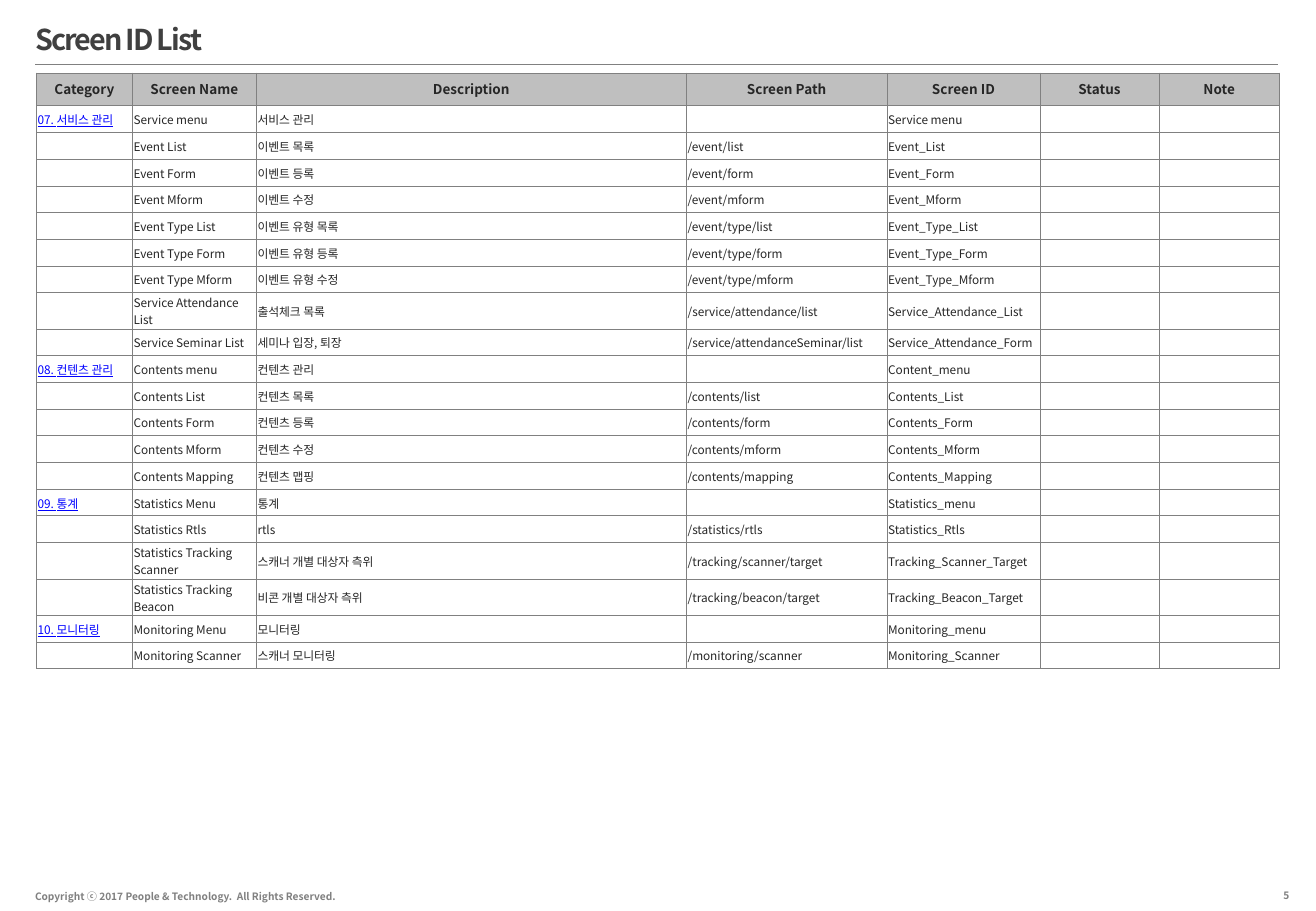
from pptx import Presentation
from pptx.dml.color import RGBColor
from pptx.enum.shapes import MSO_CONNECTOR
from pptx.enum.text import MSO_ANCHOR, MSO_AUTO_SIZE, PP_ALIGN
from pptx.oxml.ns import qn
from pptx.util import Inches, Pt
from lxml.etree import SubElement

FONT = "Noto Sans CJK KR"
COLORS = {"title": "404040", "text": "262626", "link": "0000FF",
          "grey": "808080", "header": "BFBFBF", "body": "FFFFFF"}
LINE_WIDTH = Pt(0.25)
HEADER_HEIGHT = 0.27
ROW_HEIGHT = 0.22
TWO_LINE_HEIGHT = 0.3
NAME_LINE_LENGTH = 20  # characters that fit on one line of the Screen Name column

COLUMNS = [("Category", 0.79), ("Screen Name", 1.02), ("Description", 3.54),
           ("Screen Path", 1.65), ("Screen ID", 1.26), ("Status", 0.98), ("Note", 0.99)]

# Category, screen name, description, path, screen ID
SCREENS = [
    ("07. 서비스 관리", "Service menu", "서비스 관리", "", "Service menu"),
    ("", "Event List", "이벤트 목록", "/event/list", "Event_List"),
    ("", "Event Form", "이벤트 등록", "/event/form", "Event_Form"),
    ("", "Event Mform", "이벤트 수정", "/event/mform", "Event_Mform"),
    ("", "Event Type List", "이벤트 유형 목록", "/event/type/list", "Event_Type_List"),
    ("", "Event Type Form", "이벤트 유형 등록", "/event/type/form", "Event_Type_Form"),
    ("", "Event Type Mform", "이벤트 유형 수정", "/event/type/mform", "Event_Type_Mform"),
    ("", "Service Attendance List", "출석체크 목록", "/service/attendance/list",
     "Service_Attendance_List"),
    ("", "Service Seminar List", "세미나 입장, 퇴장", "/service/attendanceSeminar/list",
     "Service_Attendance_Form"),
    ("08. 컨텐츠 관리", "Contents menu", "컨텐츠 관리", "", "Content_menu"),
    ("", "Contents List", "컨텐츠 목록", "/contents/list", "Contents_List"),
    ("", "Contents Form", "컨텐츠 등록", "/contents/form", "Contents_Form"),
    ("", "Contents Mform", "컨텐츠 수정", "/contents/mform", "Contents_Mform"),
    ("", "Contents Mapping", "컨텐츠 맵핑", "/contents/mapping", "Contents_Mapping"),
    ("09. 통계", "Statistics Menu", "통계", "", "Statistics_menu"),
    ("", "Statistics Rtls", "rtls", "/statistics/rtls", "Statistics_Rtls"),
    ("", "Statistics Tracking Scanner", "스캐너 개별 대상자 측위",
     "/tracking/scanner/target", "Tracking_Scanner_Target"),
    ("", "Statistics Tracking Beacon", "비콘 개별 대상자 측위",
     "/tracking/beacon/target", "Tracking_Beacon_Target"),
    ("10. 모니터링", "Monitoring Menu", "모니터링", "", "Monitoring_menu"),
    ("", "Monitoring Scanner", "스캐너 모니터링", "/monitoring/scanner", "Monitoring_Scanner"),
]


def rgb(name):
    return RGBColor.from_string(COLORS[name])


def add_span(para, text, size, color, bold=False, underline=False):
    span = para.add_run()
    span.text = text
    font = span.font
    font.name, font.size, font.bold = FONT, Pt(size), bold
    font.underline = underline
    font.color.rgb = rgb(color)
    SubElement(font._element, qn("a:ea"), typeface=FONT)
    return span


def set_insets(target, left, top, right, bottom):
    target.margin_left, target.margin_top = Inches(left), Inches(top)
    target.margin_right, target.margin_bottom = Inches(right), Inches(bottom)


def add_title(page, text):
    title = page.shapes.title
    title.left, title.top = Inches(0.29), Inches(0.13)
    title.width, title.height = Inches(9.75), Inches(0.39)
    frame = title.text_frame
    frame.auto_size = MSO_AUTO_SIZE.NONE
    frame.vertical_anchor = MSO_ANCHOR.MIDDLE
    set_insets(frame, 0, 0, 0, 0)
    para = frame.paragraphs[0]
    para.alignment = PP_ALIGN.LEFT
    span = add_span(para, text, 17, "title", bold=True)
    span.font._element.set("spc", "-110")


def add_rule(page):
    rule = page.shapes.add_connector(MSO_CONNECTOR.STRAIGHT, Inches(0.29), Inches(0.53),
                                     Inches(10.52), Inches(0.53))
    rule.line.color.rgb = rgb("grey")
    rule.line.width = LINE_WIDTH
    SubElement(rule._element.spPr, qn("a:effectLst"))


def add_footer(page, text, left, top, width, height, align, insets):
    box = page.shapes.add_textbox(Inches(left), Inches(top), Inches(width), Inches(height))
    frame = box.text_frame
    frame.word_wrap = True
    frame.vertical_anchor = MSO_ANCHOR.MIDDLE
    set_insets(frame, *insets)
    para = frame.paragraphs[0]
    para.alignment = align
    add_span(para, text, 6, "grey", bold=True)


def style_cell(cell, fill):
    """Give the cell thin grey borders and a solid fill."""
    properties = cell._tc.get_or_add_tcPr()
    for side in ("a:lnL", "a:lnR", "a:lnT", "a:lnB"):
        border = SubElement(properties, qn(side), w=str(LINE_WIDTH))
        solid = SubElement(border, qn("a:solidFill"))
        SubElement(solid, qn("a:srgbClr"), val=COLORS["grey"])
    cell.fill.solid()
    cell.fill.fore_color.rgb = rgb(fill)


def fill_header_cell(cell, text):
    style_cell(cell, "header")
    para = cell.text_frame.paragraphs[0]
    para.alignment = PP_ALIGN.CENTER
    add_span(para, text, 8, "text", bold=True)


def fill_body_cell(cell, text, is_link):
    style_cell(cell, "body")
    cell.vertical_anchor = MSO_ANCHOR.MIDDLE
    set_insets(cell, 0.01, 0.01, 0.01, 0)
    para = cell.text_frame.paragraphs[0]
    if text:
        add_span(para, text, 7, "link" if is_link else "text", underline=is_link)
    else:
        # A small end mark keeps an empty cell from stretching its row
        SubElement(para._p, qn("a:endParaRPr"), sz="700")


def row_height(screen):
    return TWO_LINE_HEIGHT if len(screen[1]) > NAME_LINE_LENGTH else ROW_HEIGHT


def add_screen_table(page):
    width = sum(column_width for _, column_width in COLUMNS)
    heights = [HEADER_HEIGHT] + [row_height(screen) for screen in SCREENS]
    table = page.shapes.add_table(len(heights), len(COLUMNS), Inches(0.3), Inches(0.6),
                                  Inches(width), Inches(sum(heights))).table
    table.horz_banding = False
    for row, height in zip(table.rows, heights):
        row.height = Inches(height)
    for index, (heading, column_width) in enumerate(COLUMNS):
        table.columns[index].width = Inches(column_width)
        fill_header_cell(table.cell(0, index), heading)
    for row, screen in enumerate(SCREENS, start=1):
        for column in range(len(COLUMNS)):
            text = screen[column] if column < len(screen) else ""
            fill_body_cell(table.cell(row, column), text, is_link=column == 0)


def main():
    deck = Presentation()
    deck.slide_width, deck.slide_height = Inches(10.83), Inches(7.5)
    page = deck.slides.add_slide(deck.slide_layouts[5])
    add_rule(page)
    add_footer(page, "5", 9.62, 7.26, 1.12, 0.22, PP_ALIGN.RIGHT, (0.13, 0.07, 0.13, 0.07))
    add_footer(page, "Copyright ⓒ 2017 People & Technology.  All Rights Reserved.",
               0.19, 7.28, 3.26, 0.2, PP_ALIGN.LEFT, (0.1, 0.05, 0.1, 0.05))
    add_title(page, "Screen ID List")
    add_screen_table(page)
    deck.save("out.pptx")


if __name__ == "__main__":
    main()
